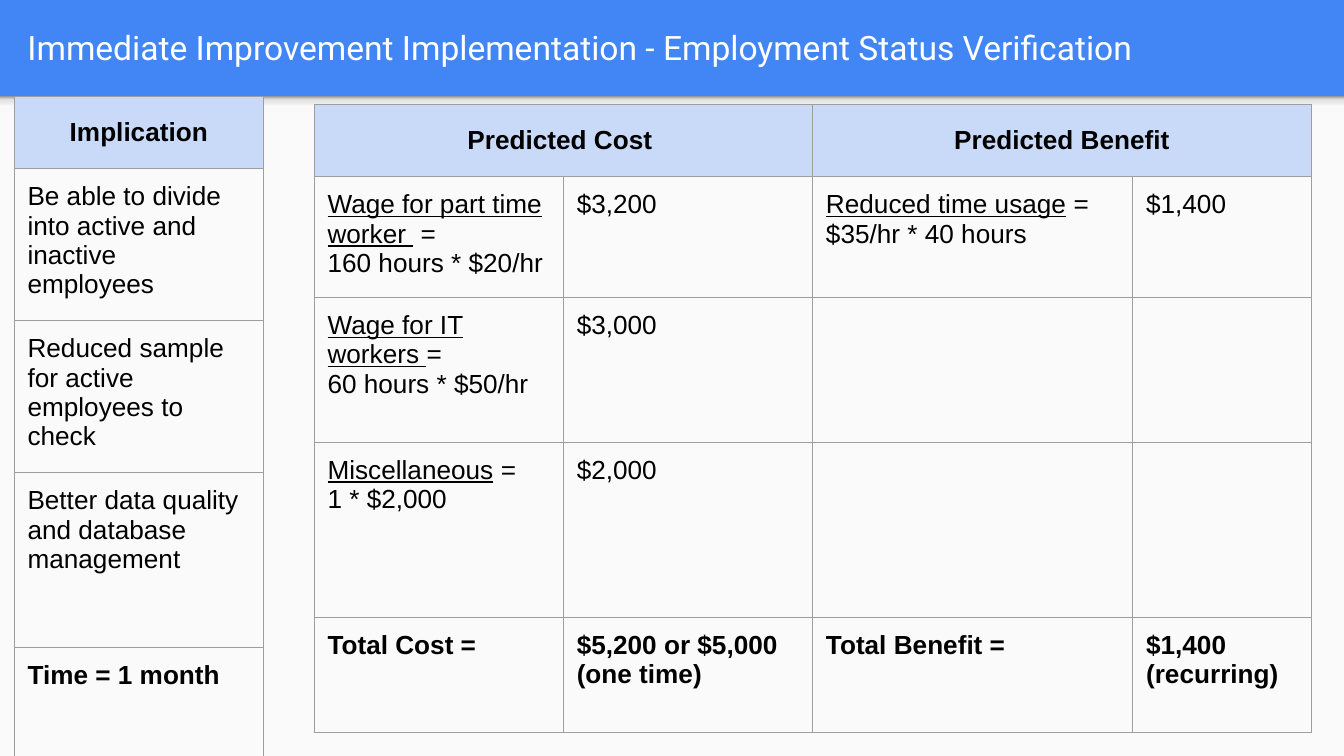
from copy import deepcopy
from lxml import etree
from pptx import Presentation, util as u
from pptx.dml.color import RGBColor
from pptx.enum import shapes, text
from pptx.oxml.ns import qn

COLORS = {"header": "4285F4", "page": "FAFAFA", "cell": "C9DAF8", "border": "9E9E9E",
          "ink": "000000", "white": "FFFFFF"}
SHADOW_STOPS = [(0, "F9F9F9"), (0.36, "F9F9F9"), (0.8, "DEDEDE"), (1, "999999")]
WIDTH, HEIGHT, HEADER = 25.4, 14.29, 1.82
ROW_HEIGHTS = [1.36, 2.17, 2.74, 3.31, 2.17]
TITLE = "Immediate Improvement Implementation - Employment Status Verification"

# Each cell is a list of lines; a pair holds underlined text and the plain text after it.
TABLES = [
    {"at": (5.94, 1.98), "columns": [4.71, 4.71, 6.05, 3.37], "header_span": 2, "rows": [
        [["Predicted Cost "], [], ["Predicted Benefit"], []],
        [[("Wage for part time worker ", " ="), "160 hours * $20/hr"], ["$3,200"],
         [("Reduced time usage", " ="), "$35/hr * 40 hours"], ["$1,400"]],
        [[("Wage for IT workers ", "="), "60 hours * $50/hr"], ["$3,000"], [], []],
        [[("Miscellaneous", " ="), "1 * $2,000"], ["$2,000"], [], []],
        [["Total Cost ="], ["$5,200 or $5,000", "(one time)"],
         ["Total Benefit ="], ["$1,400", "(recurring)"]],
    ]},
    {"at": (0.27, 1.83), "columns": [4.71], "header_span": 1, "rows": [
        [["Implication"]],
        [["Be able to divide into active and inactive employees"]],
        [["Reduced sample", "for active employees to check"]],
        [["Better data quality and database management"]],
        [["Time = 1 month"]],
    ]},
]


def rgb(name):
    return RGBColor.from_string(COLORS[name])


def add_band(slide, top, height):
    shape = slide.shapes.add_shape(shapes.MSO_SHAPE.RECTANGLE, 0, u.Cm(top),
                                   u.Cm(WIDTH), u.Cm(height))
    shape.shadow.inherit = False
    shape.line.fill.background()
    return shape


def add_header_shadow(slide):
    shape = add_band(slide, HEADER, 0.3)
    shape.fill.gradient()
    shape.fill.gradient_angle = 90
    stop_list = shape._element.spPr.find(qn("a:gradFill")).find(qn("a:gsLst"))
    for _ in SHADOW_STOPS[2:]:
        stop_list.append(deepcopy(stop_list[0]))
    for stop, (position, color) in zip(shape.fill.gradient_stops, SHADOW_STOPS):
        stop.position = position
        stop.color.rgb = RGBColor.from_string(color)


def add_title(slide):
    box = slide.shapes.add_textbox(u.Cm(0.27), u.Cm(0.05), u.Cm(24.5), u.Cm(1.68))
    frame = box.text_frame
    frame.word_wrap = True
    frame.vertical_anchor = text.MSO_ANCHOR.MIDDLE
    frame.margin_left = frame.margin_right = u.Cm(0.25)
    frame.margin_top = frame.margin_bottom = u.Cm(0.25)
    paragraph = frame.paragraphs[0]
    paragraph.text = TITLE
    paragraph.font.name, paragraph.font.size = "Roboto", u.Pt(18)
    paragraph.font.color.rgb = rgb("white")


def set_borders(cell):
    properties = cell._tc.get_or_add_tcPr()
    for index, side in enumerate("LRTB"):
        line = etree.Element(qn(f"a:ln{side}"), w=str(u.Pt(0.75)))
        fill = etree.SubElement(line, qn("a:solidFill"))
        etree.SubElement(fill, qn("a:srgbClr"), val=COLORS["border"])
        properties.insert(index, line)


def fill_cell(cell, lines, is_header, bold):
    cell.margin_left = cell.margin_right = u.Cm(0.25)
    cell.margin_top = cell.margin_bottom = u.Cm(0.25)
    if is_header:
        cell.fill.solid()
        cell.fill.fore_color.rgb = rgb("cell")
        cell.vertical_anchor = text.MSO_ANCHOR.MIDDLE
    else:
        cell.fill.background()
    set_borders(cell)
    for index, line in enumerate(lines):
        frame = cell.text_frame
        paragraph = frame.add_paragraph() if index else frame.paragraphs[0]
        if is_header:
            paragraph.alignment = text.PP_ALIGN.CENTER
        font = paragraph.font
        font.name, font.size, font.bold = "Arial", u.Pt(14), bold
        font.color.rgb = rgb("ink")
        underlined, plain = line if isinstance(line, tuple) else ("", line)
        if underlined:
            run = paragraph.add_run()
            run.text = underlined
            run.font.underline = True
        paragraph.add_run().text = plain


def add_table(slide, data):
    left, top = data["at"]
    rows, columns, span = data["rows"], data["columns"], data["header_span"]
    table = slide.shapes.add_table(len(rows), len(columns), u.Cm(left), u.Cm(top),
                                   u.Cm(sum(columns)), u.Cm(sum(ROW_HEIGHTS))).table
    table.first_row = table.horz_banding = False
    for column, width in zip(table.columns, columns):
        column.width = u.Cm(width)
    for row, height in zip(table.rows, ROW_HEIGHTS):
        row.height = u.Cm(height)
    for r, row in enumerate(rows):
        for c, lines in enumerate(row):
            fill_cell(table.cell(r, c), lines, r == 0, r in (0, len(rows) - 1))
    if span > 1:
        for c in range(0, len(columns), span):
            table.cell(0, c).merge(table.cell(0, c + span - 1))


def main():
    presentation = Presentation()
    presentation.slide_width, presentation.slide_height = u.Cm(WIDTH), u.Cm(HEIGHT)
    slide = presentation.slides.add_slide(presentation.slide_layouts[6])
    slide.background.fill.solid()
    slide.background.fill.fore_color.rgb = rgb("header")
    page = add_band(slide, HEADER, HEIGHT - HEADER)
    page.fill.solid()
    page.fill.fore_color.rgb = rgb("page")
    add_header_shadow(slide)
    add_title(slide)
    for data in TABLES:
        add_table(slide, data)
    presentation.save("out.pptx")


if __name__ == "__main__":
    main()
